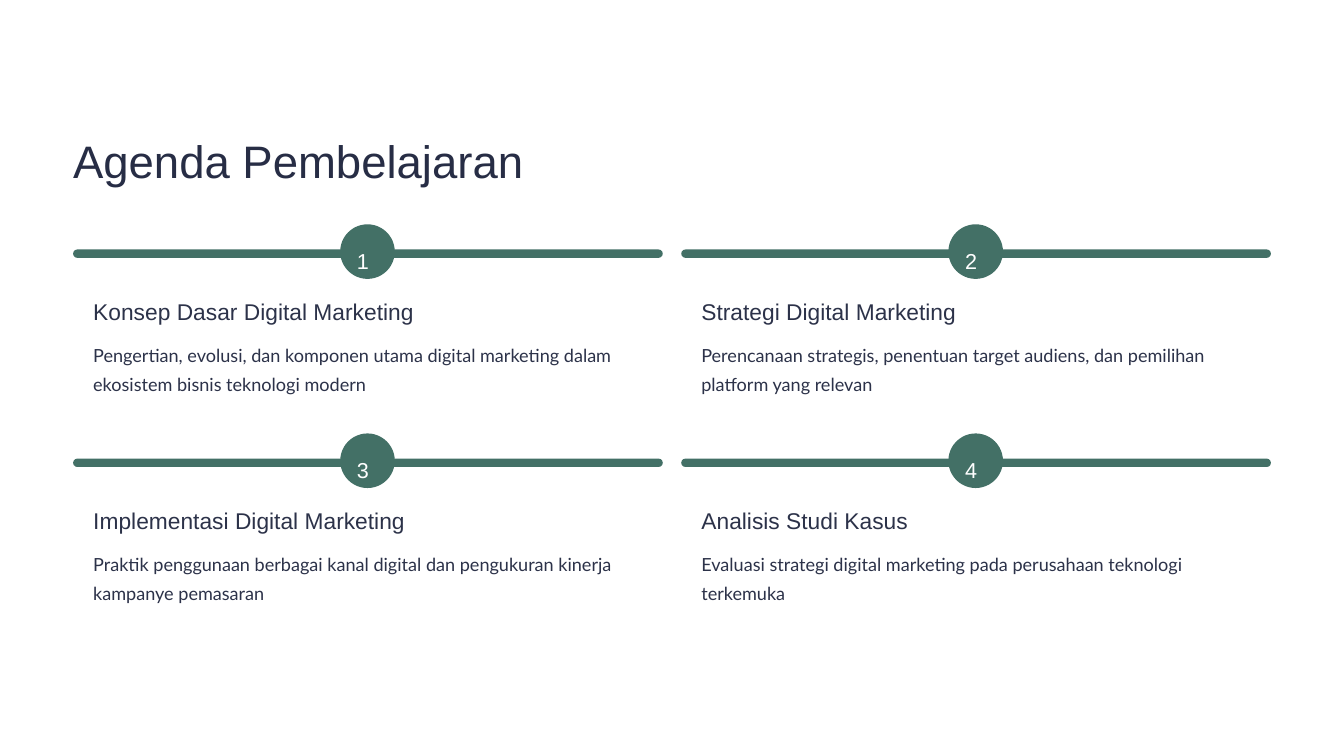
from pptx import Presentation
from pptx.dml.color import RGBColor as RGB
from pptx.enum.shapes import MSO_SHAPE as Shape
from pptx.util import Inches, Pt

WHITE, GREEN, NAVY, INK = "FFFFFF", "437066", "272D45", "2C3249"

# Title, title width, detail
TOPICS = [
    ("Konsep Dasar Digital Marketing", 3.9,
     "Pengertian, evolusi, dan komponen utama digital marketing dalam ekosistem bisnis teknologi modern"),
    ("Strategi Digital Marketing", 3.15,
     "Perencanaan strategis, penentuan target audiens, dan pemilihan platform yang relevan"),
    ("Implementasi Digital Marketing", 3.85,
     "Praktik penggunaan berbagai kanal digital dan pengukuran kinerja kampanye pemasaran"),
    ("Analisis Studi Kasus", 2.71,
     "Evaluasi strategi digital marketing pada perusahaan teknologi terkemuka"),
]
LEFT, TOP = 0.87, 3
STEP_X, STEP_Y = 7.24, 2.49
WIDTH = 7.02


def color(code):
    return RGB.from_string(code)


def add_panel(slide, x, y, w, h, fill, curve):
    panel = slide.shapes.add_shape(
        Shape.ROUNDED_RECTANGLE, Inches(x), Inches(y), Inches(w), Inches(h))
    panel.adjustments[0] = curve
    panel.shadow.inherit = False
    panel.fill.solid()
    panel.fill.fore_color.rgb = color(fill)
    panel.line.fill.background()


def add_label(slide, text, x, y, w, h, size, lead, ink, face="Arial", wrap=False):
    box = slide.shapes.add_textbox(Inches(x), Inches(y), Inches(w), Inches(h))
    frame = box.text_frame
    frame.margin_left = frame.margin_right = 0
    frame.margin_top = frame.margin_bottom = 0
    frame.word_wrap = wrap
    para = frame.paragraphs[0]
    para.text = text
    para.line_spacing = Pt(lead)
    para.font.name = face
    para.font.size = Pt(size)
    para.font.color.rgb = color(ink)


def add_topic(slide, number, x, y, title, width, detail):
    # Card with its top bar and round badge
    add_panel(slide, x, y, WIDTH, 1.95, WHITE, 0.06)
    add_panel(slide, x, y - 0.03, WIDTH, 0.1, GREEN, 0.5)
    add_panel(slide, x + 3.18, y - 0.33, 0.65, 0.65, GREEN, 0.5)
    add_label(slide, str(number), x + 3.38, y - 0.16, 0.26, 0.33, 18.5, 30, WHITE)
    # Card text
    add_label(slide, title, x + 0.24, y + 0.54, width, 0.34, 19.5, 24, INK)
    add_label(slide, detail, x + 0.24, y + 1.01, 6.54, 0.69, 15.5, 25, INK,
              face="Lato", wrap=True)


def main():
    deck = Presentation()
    deck.slide_width, deck.slide_height = Inches(16), Inches(9)
    slide = deck.slides.add_slide(deck.slide_layouts[6])
    slide.background.fill.solid()
    slide.background.fill.fore_color.rgb = color(WHITE)

    add_label(slide, "Agenda Pembelajaran", LEFT, 1.56, 5.43, 0.68, 39, 48.5, NAVY)

    # Two by two grid of topics
    for index, topic in enumerate(TOPICS):
        row, col = divmod(index, 2)
        add_topic(slide, index + 1, LEFT + col * STEP_X, TOP + row * STEP_Y, *topic)

    deck.save("out.pptx")


if __name__ == "__main__":
    main()
